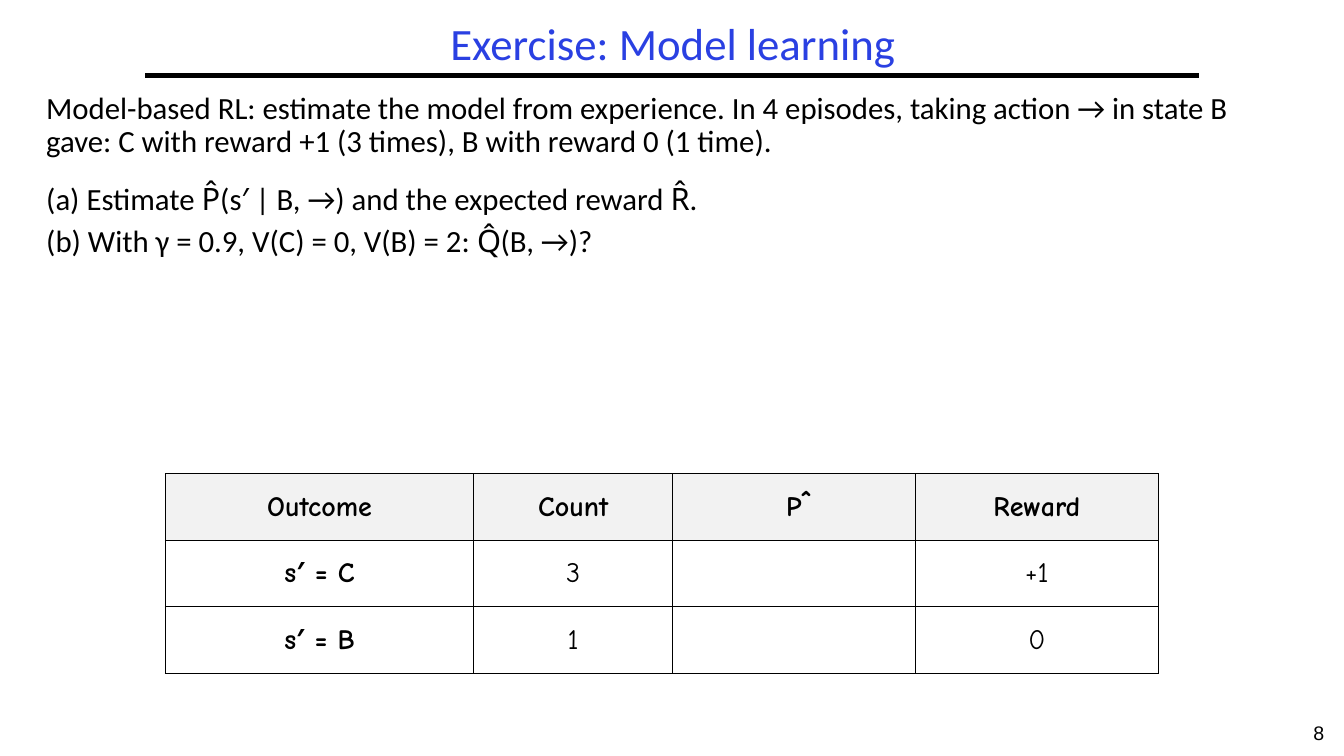
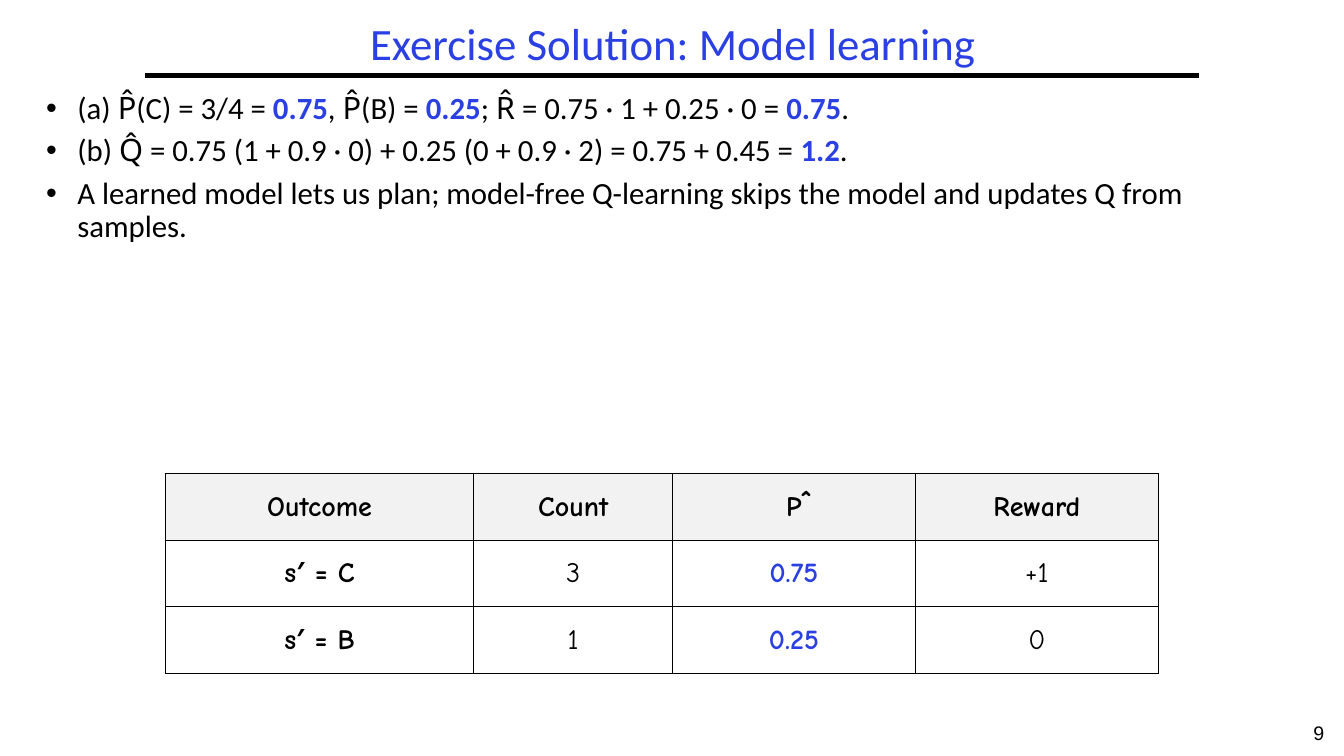
from lxml import etree
from pptx import Presentation
from pptx.dml.color import RGBColor
from pptx.enum.shapes import MSO_CONNECTOR
from pptx.enum.text import MSO_ANCHOR, PP_ALIGN
from pptx.oxml.ns import qn
from pptx.util import Inches, Pt

CENTER = PP_ALIGN.CENTER
MIDDLE = MSO_ANCHOR.MIDDLE
STRAIGHT = MSO_CONNECTOR.STRAIGHT

COLORS = {"ink": "000000", "accent": "2A40E2", "head": "F2F2F2"}
TITLE_BOX = (1.44, 0.17, 10.47, 0.58)
RULE = (1.44, 0.75, 11.89, 0.75)
BODY_BOX = (0.36, 0.87, 12.58, 3.61)
TABLE_BOX = (1.64, 4.7, 9.85, 1.98)
PAGE_BOX = (12.83, 7.1, 0.5, 0.4)
COLUMNS = (3.06, 1.97, 2.41, 2.41)
GUESS = 2  # column of the estimated probability
FIRST_PAGE = 8
INDENT = 0.31
GAP = 6.6
WIDE_GAP = 17.5

# Each body paragraph is (text, space before); *stars* mark an answer.
SLIDES = [
    {
        "title": "Exercise: Model learning",
        "body": [
            ("Model-based RL: estimate the model from experience. In 4 episodes, "
             "taking action → in state B gave: C with reward +1 (3 times), "
             "B with reward 0 (1 time).", 0),
            ("(a) Estimate P̂(s′ | B, →) and the expected reward R̂.", WIDE_GAP),
            ("(b) With γ = 0.9, V(C) = 0, V(B) = 2: Q̂(B, →)?", GAP),
        ],
        "bullets": False,
        "guess": ("", ""),
    },
    {
        "title": "Exercise Solution: Model learning",
        "body": [
            ("(a) P̂(C) = 3/4 = *0.75*, P̂(B) = *0.25*; "
             "R̂ = 0.75 · 1 + 0.25 · 0 = *0.75*.", 0),
            ("(b) Q̂ = 0.75 (1 + 0.9 · 0) + 0.25 (0 + 0.9 · 2) "
             "= 0.75 + 0.45 = *1.2*.", GAP),
            ("A learned model lets us plan; model-free Q-learning skips the model "
             "and updates Q from samples.", GAP),
        ],
        "bullets": True,
        "guess": ("0.75", "0.25"),
    },
]


def inches(box):
    return [Inches(value) for value in box]


def style(font, name, size, color="ink", bold=False):
    font.name, font.size, font.bold = name, Pt(size), bold
    font.color.rgb = RGBColor.from_string(COLORS[color])


def add_title(slide, box, text):
    title = slide.shapes.title
    title.left, title.top, title.width, title.height = inches(box)
    frame = title.text_frame
    frame.text = text
    frame.vertical_anchor = MIDDLE
    para = frame.paragraphs[0]
    para.alignment, para.line_spacing = CENTER, 0.9
    style(para.runs[0].font, "Calibri", 32, "accent")


def add_rule(slide, ends):
    rule = slide.shapes.add_connector(STRAIGHT, *inches(ends))
    rule.line.color.rgb = RGBColor.from_string(COLORS["ink"])
    rule.line.width = Pt(3)
    etree.SubElement(rule._element.spPr, qn("a:effectLst"))


def add_page(slide, box, number):
    frame = slide.shapes.add_textbox(*inches(box)).text_frame
    frame.word_wrap = True
    frame.text = str(number)
    para = frame.paragraphs[0]
    para.alignment = CENTER
    style(para.runs[0].font, "Arial", 14)


def add_bullet(para):
    props = para._p.get_or_add_pPr()
    props.set("marL", str(Inches(INDENT)))
    props.set("indent", str(-Inches(INDENT)))
    etree.SubElement(props, qn("a:buFont"), typeface="Arial")
    etree.SubElement(props, qn("a:buChar"), char="•")


def add_body(slide, box, lines, bullets):
    frame = slide.shapes.add_textbox(*inches(box)).text_frame
    frame.word_wrap = True
    for row, (text, gap) in enumerate(lines):
        para = frame.add_paragraph() if row else frame.paragraphs[0]
        if bullets:
            add_bullet(para)
        para.line_spacing, para.space_before = 0.9, Pt(gap)
        for part, piece in enumerate(text.split("*")):
            answer = part % 2 == 1
            run = para.add_run()
            run.text = piece
            style(run.font, "Calibri", 22, "accent" if answer else "ink", answer)


def add_border(cell):
    props = cell._tc.get_or_add_tcPr()
    for place, side in enumerate(("lnL", "lnR", "lnT", "lnB")):
        line = etree.Element(qn(f"a:{side}"), w=str(Pt(1)))
        fill = etree.SubElement(line, qn("a:solidFill"))
        etree.SubElement(fill, qn("a:srgbClr"), val=COLORS["ink"])
        props.insert(place, line)


def fill_cell(cell, text, head, color, bold):
    cell.text = text
    cell.vertical_anchor = MIDDLE
    cell.margin_left = cell.margin_right = Inches(0.07)
    cell.margin_top = cell.margin_bottom = Inches(0.03)
    if head:
        cell.fill.solid()
        cell.fill.fore_color.rgb = RGBColor.from_string(COLORS["head"])
    else:
        cell.fill.background()
    add_border(cell)
    para = cell.text_frame.paragraphs[0]
    para.alignment = CENTER
    for run in para.runs:
        style(run.font, "Comic Neue", 20, color, bold)


def add_counts(slide, box, guess):
    rows = [
        ("Outcome", "Count", "P̂", "Reward"),
        ("s′ = C", "3", guess[0], "+1"),
        ("s′ = B", "1", guess[1], "0"),
    ]
    table = slide.shapes.add_table(len(rows), len(COLUMNS), *inches(box)).table
    table.horz_banding = False
    for column, width in zip(table.columns, COLUMNS):
        column.width = Inches(width)
    for r, row in enumerate(rows):
        for c, text in enumerate(row):
            head = r == 0
            color = "accent" if c == GUESS and not head else "ink"
            fill_cell(table.cell(r, c), text, head, color, head or c in (0, GUESS))


def add_exercise(deck, data, number):
    slide = deck.slides.add_slide(deck.slide_layouts[5])
    add_rule(slide, RULE)
    add_page(slide, PAGE_BOX, number)
    add_title(slide, TITLE_BOX, data["title"])
    add_body(slide, BODY_BOX, data["body"], data["bullets"])
    add_counts(slide, TABLE_BOX, data["guess"])


def main():
    deck = Presentation()
    deck.slide_width, deck.slide_height = Inches(13.33), Inches(7.5)
    for number, data in enumerate(SLIDES, FIRST_PAGE):
        add_exercise(deck, data, number)
    deck.save("out.pptx")


if __name__ == "__main__":
    main()
